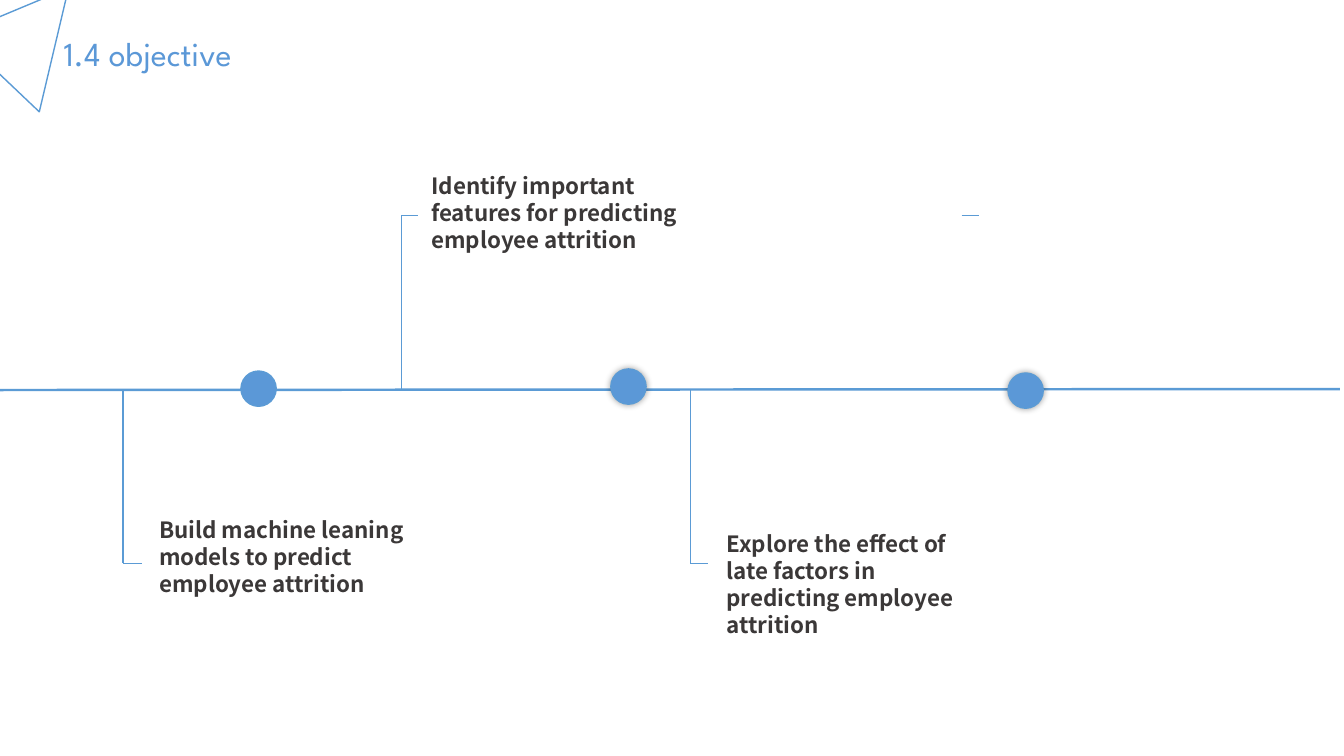
"""Build the objective slide: a timeline with three goals."""
from dataclasses import dataclass

from lxml.etree import SubElement
from pptx import Presentation
from pptx.dml.color import RGBColor as Rgb
from pptx.enum.shapes import MSO_CONNECTOR as Link, MSO_SHAPE as Form
from pptx.enum.text import MSO_ANCHOR as Anchor, MSO_AUTO_SIZE as Fit, PP_ALIGN as Align
from pptx.oxml.ns import qn
from pptx.util import Pt


@dataclass(frozen=True)
class Theme:
    """Colours, fonts and sizes of the slide."""
    line: Rgb = Rgb(0x5B, 0x9B, 0xD5)
    blue: Rgb = Rgb(0x5B, 0x98, 0xD7)
    dark: Rgb = Rgb(0x3B, 0x38, 0x38)
    head: str = "League Spartan"
    body: str = "Noto Sans CJK SC"
    big: float = 24
    small: float = 16
    lead: float = 19.2


def write(frame, text, font, size, color, bold=False, lead=None):
    """Put formatted text into a frame."""
    frame.word_wrap = True
    frame.auto_size = Fit.NONE
    frame.vertical_anchor = Anchor.TOP
    para = frame.paragraphs[0]
    para.alignment = Align.LEFT
    if lead:
        para.line_spacing = Pt(lead)
    run = para.add_run()
    run.text = text
    run.font.name = font
    run.font.size = Pt(size)
    run.font.bold = bold
    run.font.color.rgb = color


class Pen:
    """Draw styled elements on one slide."""

    def __init__(self, slide, theme):
        """Keep the slide and its theme."""
        self.slide, self.theme = slide, theme
        self.shapes = slide.shapes

    def title(self, text, left, top, width, height):
        """Place and fill the title."""
        box, look = self.shapes.title, self.theme
        box.left, box.top, box.width, box.height = map(Pt, (left, top, width, height))
        write(box.text_frame, text, font=look.head, size=look.big, color=look.blue)

    def note(self, text, left, top, width=198, height=65.5):
        """Add a bold text box."""
        look = self.theme
        box = self.shapes.add_textbox(*map(Pt, (left, top, width, height)))
        write(box.text_frame, text, font=look.body, size=look.small,
              color=look.dark, bold=True, lead=look.lead)

    def rule(self, start, end, weight):
        """Add a straight line."""
        rule = self.shapes.add_connector(Link.STRAIGHT, *map(Pt, start + end))
        rule.line.color.rgb = self.theme.line
        rule.line.width = Pt(weight)
        SubElement(rule._element.spPr, qn("a:effectLst"))

    def dot(self, left, top, size=25.2, glow=False):
        """Add a round marker, with a soft shadow if asked."""
        dot = self.shapes.add_shape(Form.OVAL, *map(Pt, (left, top, size, size)))
        dot.shadow.inherit = False
        dot.fill.solid()
        dot.fill.fore_color.rgb = self.theme.blue
        dot.line.color.rgb = self.theme.line
        dot.line.width = Pt(1)
        if glow:
            effect = dot._element.spPr.find(qn("a:effectLst"))
            shade = SubElement(effect, qn("a:outerShdw"), blurRad=str(Pt(5)),
                               dist="0", dir="0", algn="ctr", rotWithShape="0")
            tint = SubElement(shade, qn("a:srgbClr"), val="000000")
            SubElement(tint, qn("a:alpha"), val="40000")

    def outline(self, first, *others):
        """Add a closed outline without fill."""
        path = self.shapes.build_freeform(*map(Pt, first))
        path.add_line_segments([tuple(map(Pt, spot)) for spot in others], close=True)
        shape = path.convert_to_shape()
        shape.shadow.inherit = False
        shape.fill.background()
        shape.line.color.rgb = self.theme.line
        shape.line.width = Pt(1)


AXIS, UPPER, LOWER = 278.3, 154.1, 402.5
GOALS = [
    (87.8, LOWER, 13.7, 106.6, 365, "Build machine leaning models to predict employee attrition"),
    (286.6, UPPER, 12.2, 301, 119.5, "Identify important features for predicting employee attrition"),
    (493.2, LOWER, 12.2, 511.9, 375.1, "Explore the effect of late factors in predicting employee attrition"),
]
DOTS = [(172.1, 265, False), (436.3, 263.5, True), (720, 266.4, True)]


def main():
    """Build and save the slide."""
    deck = Presentation()
    deck.slide_width, deck.slide_height = Pt(960), Pt(540)
    pen = Pen(deck.slides.add_slide(deck.slide_layouts[5]), Theme())
    pen.rule((-2.2, 278.6), (957, 277.9), 1.75)
    for left, top, glow in DOTS:
        pen.dot(left, top, glow=glow)
    pen.outline((-30.2, 24.5), (49, -8.6), (28.1, 79.9))
    pen.title("1.4 objective", 38.2, 20.2, 271.4, 36)
    for stem, level, tick, left, top, text in GOALS:
        pen.rule((stem, AXIS), (stem, level), 1)
        pen.rule((stem, level), (stem + tick, level), 0.5)
        pen.note(text, left, top)
    pen.rule((686.9, UPPER), (699.1, UPPER), 0.5)
    deck.save("out.pptx")


if __name__ == "__main__":
    main()
